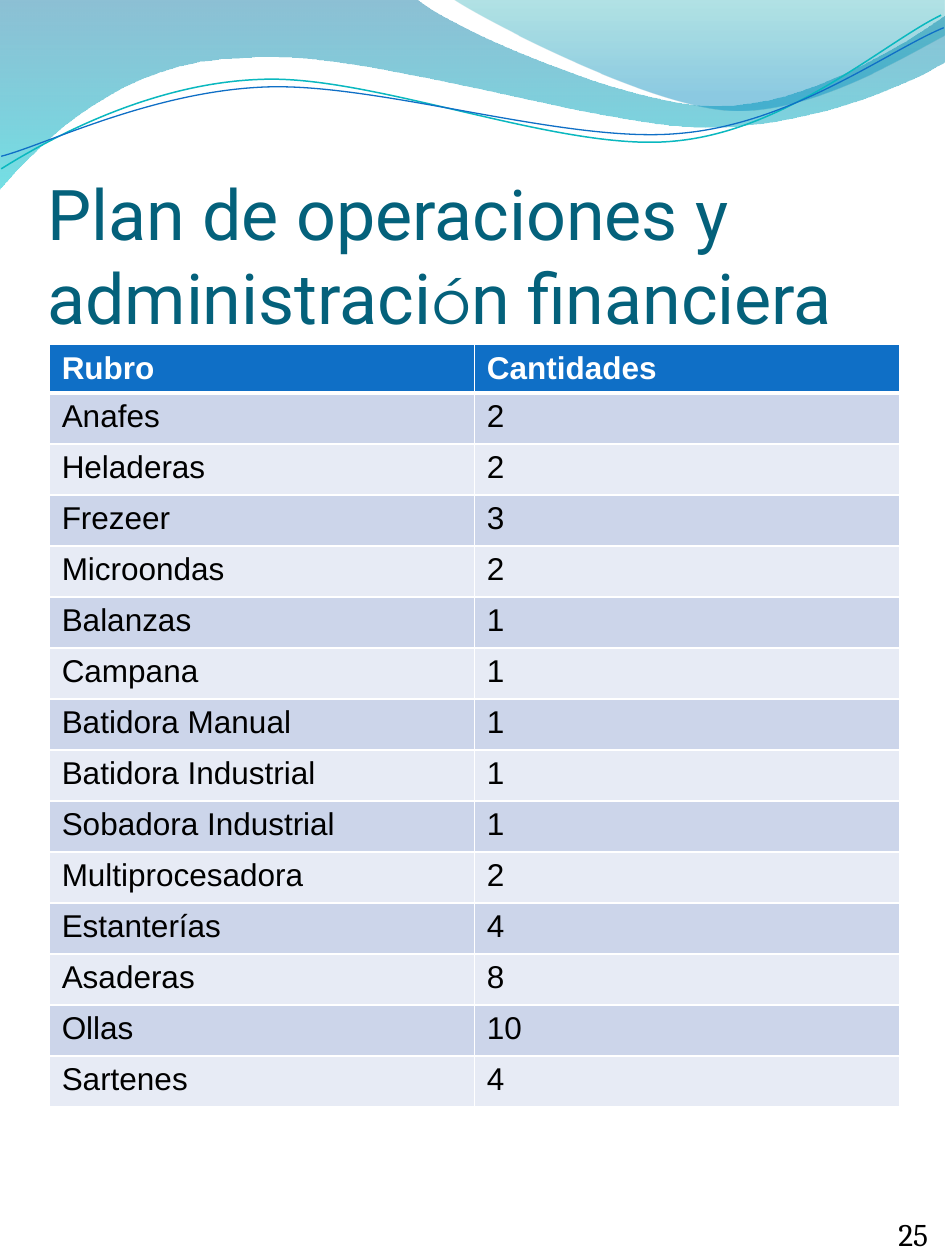
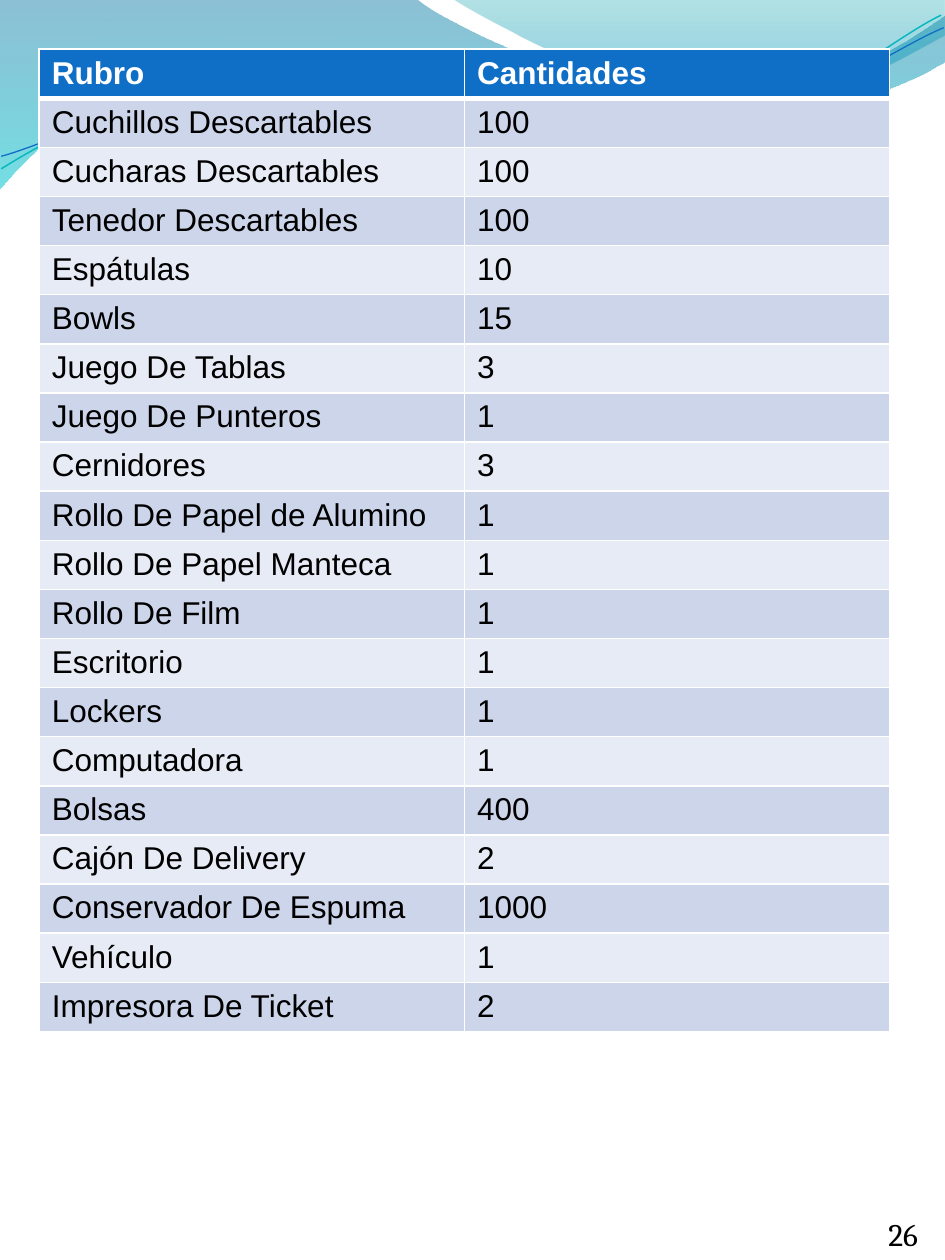
from lxml.etree import SubElement
from pptx import Presentation
from pptx.dml.color import RGBColor
from pptx.enum.text import MSO_ANCHOR, MSO_AUTO_SIZE, PP_ALIGN
from pptx.oxml.ns import qn
from pptx.util import Inches, Pt

WIDTH, HEIGHT = Inches(7.5), Inches(10)
COLUMNS, ROWS = 20, 100
BAND_COLUMNS, BAND_ROWS = 75, 15

TITLE_COLOR, BLUE, TEAL = "04617B", "0F6FC6", "0AB8BF"
WHITE, BLACK = "FFFFFF", "000000"
STRIPES = ("CCD5EA", "E7EBF5")

FILLED_WAVES = [
    ([(0, -0.1), (33, -0.1),
      ((35.7, 2.2), (49.8, 8.4), (56.9, 8.4)),
      ((64, 8.4), (71.9, 3.4), (75, 1.2)),
      (75.1, 4.8),
      ((73.8, 5.8), (65.2, 10.1), (55.9, 10.1)),
      ((46.6, 10), (28.6, 3.7), (19.3, 4.6)),
      ((9.7, 4.7), (3.4, 11.1), (-0.1, 15.1))],
     [(0, "0074A1", 45), (1, "00C6CF", 55)]),
    ([(35.9, -0.1),
      ((38.2, 1.5), (51.1, 8.2), (57.7, 8.7)),
      ((64.2, 9.2), (72.1, 4.3), (75, 2.8)),
      (75, 0)],
     [(0, "00A1A9", 30), (0.8, "008BBF", 45)]),
]
LINE_WAVES = [
    ([(0.1, 13.4),
      ((3.6, 11.2), (11.8, 6.6), (20.7, 6.3)),
      ((29.6, 5.9), (44.5, 12.1), (53.5, 11.2)),
      ((62.5, 10.4), (70.3, 3.3), (74.7, 1.2))],
     TEAL, 0.85),
    ([(0.1, 12.4),
      ((3.6, 11.5), (12.2, 7.2), (21.2, 6.9)),
      ((30.2, 6.6), (44.9, 11.4), (53.8, 10.6)),
      ((62.8, 9.9), (70.5, 4), (74.9, 2.2))],
     BLUE, 0.75),
]

KITCHEN_EQUIPMENT = [
    ("Anafes", 2), ("Heladeras", 2), ("Frezeer", 3), ("Microondas", 2),
    ("Balanzas", 1), ("Campana", 1), ("Batidora Manual", 1),
    ("Batidora Industrial", 1), ("Sobadora Industrial", 1),
    ("Multiprocesadora", 2), ("Estanterías", 4), ("Asaderas", 8),
    ("Ollas", 10), ("Sartenes", 4),
]
SUPPLIES = [
    ("Cuchillos Descartables", 100), ("Cucharas Descartables", 100),
    ("Tenedor Descartables", 100), ("Espátulas", 10), ("Bowls", 15),
    ("Juego De Tablas", 3), ("Juego De Punteros", 1), ("Cernidores", 3),
    ("Rollo De Papel de Alumino", 1), ("Rollo De Papel Manteca", 1),
    ("Rollo De Film", 1), ("Escritorio", 1), ("Lockers", 1),
    ("Computadora", 1), ("Bolsas", 400), ("Cajón De Delivery", 2),
    ("Conservador De Espuma", 1000), ("Vehículo", 1),
    ("Impresora De Ticket", 2),
]


def color(value):
    return RGBColor.from_string(value)


def grid_box(left, top, width, height):
    return (round(left * WIDTH / COLUMNS), round(top * HEIGHT / ROWS),
            round(width * WIDTH / COLUMNS), round(height * HEIGHT / ROWS))


def format_run(run, font_name, size, font_color, bold=False):
    run.font.name = font_name
    run.font.size = Pt(size)
    run.font.bold = bold
    run.font.color.rgb = color(font_color)


def is_curve(segment):
    return len(segment) == 3


def bend_segments(shape, segments):
    outline = next(shape._element.iter(qn("a:path")))
    lines = iter(outline.findall(qn("a:lnTo")))
    for segment in segments:
        line = next(lines)
        if is_curve(segment):
            line.tag = qn("a:cubicBezTo")
            for _ in range(2):
                control_line = next(lines)
                line.append(control_line[0])
                outline.remove(control_line)


def add_wave(slide, box, outline, close):
    left, top, width, height = box
    start, *segments = outline
    points = [start]
    for segment in segments:
        points.extend(segment if is_curve(segment) else [segment])
    places = [(left + x * width / BAND_COLUMNS, top + y * height / BAND_ROWS)
              for x, y in points]
    builder = slide.shapes.build_freeform(*places[0])
    builder.add_line_segments(places[1:], close=close)
    shape = builder.convert_to_shape()
    bend_segments(shape, segments)
    shape.shadow.inherit = False
    return shape


def fill_gradient(shape, stops):
    shape.fill.gradient()
    shape.fill.gradient_angle = 270
    for gradient_stop, (position, stop_color, _) in zip(shape.fill.gradient_stops, stops):
        gradient_stop.position = position
        gradient_stop.color.rgb = color(stop_color)
    color_elements = shape._element.spPr.iter(qn("a:srgbClr"))
    for element, (_, _, opacity) in zip(list(color_elements), stops):
        SubElement(element, qn("a:alpha"), val=str(opacity * 1000))


def add_wave_band(presentation, slide, box):
    waves = []
    for outline, stops in FILLED_WAVES:
        shape = add_wave(slide, box, outline, close=True)
        fill_gradient(shape, stops)
        shape.line.fill.background()
        waves.append(shape)
    for outline, line_color, line_width in LINE_WAVES:
        shape = add_wave(slide, box, outline, close=False)
        shape.fill.background()
        shape.line.color.rgb = color(line_color)
        shape.line.width = Pt(line_width)
        waves.append(shape)
    master_tree = presentation.slide_master.shapes._spTree
    for position, shape in enumerate(waves, 2):
        master_tree.insert(position, shape._element)


def add_title(slide, box, parts):
    title = slide.shapes.title
    title.left, title.top, title.width, title.height = box
    text_frame = title.text_frame
    text_frame.auto_size = MSO_AUTO_SIZE.NONE
    text_frame.word_wrap = True
    text_frame.vertical_anchor = MSO_ANCHOR.BOTTOM
    text_frame.margin_left = text_frame.margin_right = text_frame.margin_bottom = 0
    text_frame.margin_top = Inches(0.05)
    paragraph = text_frame.paragraphs[0]
    paragraph.alignment = PP_ALIGN.LEFT
    for text, font_name, size in parts:
        run = paragraph.add_run()
        run.text = text
        format_run(run, font_name, size, TITLE_COLOR)


def set_borders(cell, widths):
    properties = cell._tc.get_or_add_tcPr()
    for side, width in zip("LRTB", widths):
        line = SubElement(properties, qn(f"a:ln{side}"), w=str(Pt(width)))
        fill = SubElement(line, qn("a:solidFill"))
        SubElement(fill, qn("a:srgbClr"), val=WHITE)


def format_cell(cell, text, row_index):
    header = row_index == 0
    set_borders(cell, (1, 1, 3 if row_index == 1 else 1, 3 if header else 1))
    cell.fill.solid()
    cell.fill.fore_color.rgb = color(BLUE if header else STRIPES[(row_index - 1) % 2])
    cell.margin_bottom = Inches(0.02)
    cell.text_frame.text = str(text)
    run = cell.text_frame.paragraphs[0].runs[0]
    format_run(run, "Arial", 18, WHITE if header else BLACK, bold=header)


def add_item_table(slide, left, top, header_rows, item_rows, items):
    records = [("Rubro", "Cantidades"), *items]
    box = grid_box(left, top, 18, header_rows + item_rows * len(items))
    table = slide.shapes.add_table(len(records), 2, *box).table
    for row_index, record in enumerate(records):
        row = table.rows[row_index]
        row.height = round((item_rows if row_index else header_rows) * HEIGHT / ROWS)
        for cell, text in zip(row.cells, record):
            format_cell(cell, text, row_index)


def add_page_number(slide, box, number):
    text_frame = slide.shapes.add_textbox(*box).text_frame
    text_frame.word_wrap = True
    text_frame.text = str(number)
    format_run(text_frame.paragraphs[0].runs[0], "Cambria", 18, BLACK)


def build_titled_slide(slide):
    add_title(slide, grid_box(1, 10.3, 18, 16.6), [
        ("Plan de operaciones y administraci", "Roboto", 40),
        ("ó", "Montserrat", 36),
        ("n financiera", "Roboto", 40),
    ])
    add_item_table(slide, 1.04, 27.35, 3.85, 4.05, KITCHEN_EQUIPMENT)
    add_page_number(slide, grid_box(18.75, 95.95, 1.25, 4), 25)


def build_table_slide(slide):
    add_item_table(slide, 0.83, 3.9, 3.9, 3.9, SUPPLIES)
    add_page_number(slide, grid_box(18.54, 95.95, 1.46, 4), 26)


def main():
    presentation = Presentation()
    presentation.slide_width, presentation.slide_height = WIDTH, HEIGHT
    title_only, blank = presentation.slide_layouts[5], presentation.slide_layouts[6]
    titled_slide = presentation.slides.add_slide(title_only)
    add_wave_band(presentation, titled_slide, grid_box(0, 0, COLUMNS, 15))
    build_titled_slide(titled_slide)
    build_table_slide(presentation.slides.add_slide(blank))
    presentation.save("out.pptx")


if __name__ == "__main__":
    main()
